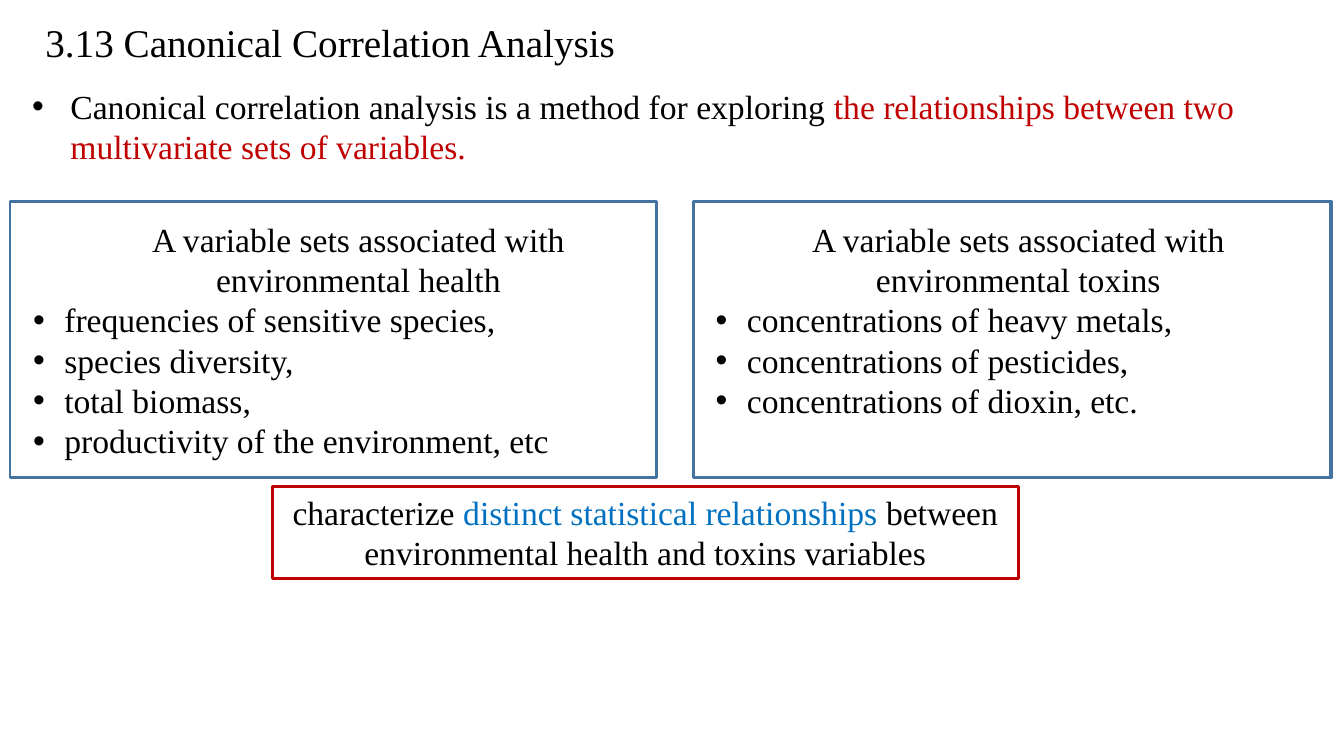
from lxml import etree
from pptx import Presentation
from pptx.dml.color import RGBColor
from pptx.enum.shapes import MSO_SHAPE as SHAPE
from pptx.enum.text import MSO_ANCHOR as ANCHOR, MSO_AUTO_SIZE as AUTO, PP_ALIGN as ALIGN
from pptx.oxml.ns import qn
from pptx.util import Inches, Pt

COLORS = {"text": "000000", "white": "FFFFFF", "red": "C00000",
          "blue": "0070C0", "frame": "43739E"}
FONT = "Times New Roman"


def write(p, parts, size=24, align=ALIGN.LEFT, indent=0):
    """Fill a paragraph with (text, colour) runs; an indent gives it a bullet."""
    p.alignment = align
    if indent:
        pPr = p._p.get_or_add_pPr()
        pPr.set("marL", str(Inches(indent)))
        pPr.set("indent", str(-Inches(indent)))
        etree.SubElement(pPr, qn("a:buFont")).set("typeface", "Arial")
        etree.SubElement(pPr, qn("a:buChar")).set("char", "•")
    for text, color in parts:
        r = p.add_run()
        r.text = text
        r.font.name = FONT
        r.font.size = Pt(size)
        r.font.color.rgb = RGBColor.from_string(COLORS[color])


def add_box(left, top, width, height, fill=None, line=None, line_width=2):
    """Add a flat rectangle with optional fill and outline."""
    sp = slide.shapes.add_shape(SHAPE.RECTANGLE, Inches(left), Inches(top),
                                Inches(width), Inches(height))
    sp.shadow.inherit = False
    if fill:
        sp.fill.solid()
        sp.fill.fore_color.rgb = RGBColor.from_string(COLORS[fill])
    else:
        sp.fill.background()
    if line:
        sp.line.color.rgb = RGBColor.from_string(COLORS[line])
        sp.line.width = Pt(line_width)
    else:
        sp.line.fill.background()
    sp.text_frame.word_wrap = True
    sp.text_frame.vertical_anchor = ANCHOR.TOP
    return sp


prs = Presentation()
prs.slide_width, prs.slide_height = Inches(13.33), Inches(7.5)
slide = prs.slides.add_slide(prs.slide_layouts[5])

# Title
title = slide.shapes.title
title.left, title.top = Inches(0.35), Inches(0.13)
title.width, title.height = Inches(5.91), Inches(0.57)
tf = title.text_frame
tf.word_wrap = False
tf.auto_size = AUTO.NONE
tf.vertical_anchor = ANCHOR.TOP
write(tf.paragraphs[0], [("3.13 Canonical Correlation Analysis", "text")], size=28)

# Definition
intro = slide.shapes.add_textbox(Inches(0.22), Inches(0.8), Inches(12.98), Inches(0.91))
intro.text_frame.word_wrap = True
write(intro.text_frame.paragraphs[0], [
    ("Canonical correlation analysis is a method for exploring ", "text"),
    ("the relationships between two multivariate sets of variables.", "red"),
], indent=0.38)

# Two framed variable sets: text left, width, height; frame left, width, line width
variable_sets = [
    (0.23, 6.65, 2.52, 0.1, 6.41, 2, "environmental health",
     ["frequencies of sensitive species,", "species diversity,",
      "total biomass,", "productivity of the environment, etc"]),
    (7, 6.2, 2.12, 6.88, 6.32, 2.5, "environmental toxins",
     ["concentrations of heavy metals,", "concentrations of pesticides,",
      "concentrations of dioxin, etc."]),
]
for left, width, height, frame_left, frame_width, line_width, topic, items in variable_sets:
    tf = add_box(left, 2.12, width, height, fill="white").text_frame
    write(tf.paragraphs[0], [("A variable sets associated with", "text")], align=ALIGN.CENTER)
    write(tf.add_paragraph(), [(topic, "text")], align=ALIGN.CENTER)
    for item in items:
        write(tf.add_paragraph(), [(item, "text")], indent=0.31)
    add_box(frame_left, 2, frame_width, 2.74, line="frame", line_width=line_width)

# Conclusion
conclusion = add_box(2.7, 4.83, 7.4, 0.91, line="red", line_width=2.25)
write(conclusion.text_frame.paragraphs[0], [
    ("characterize ", "text"),
    ("distinct statistical relationships ", "blue"),
    ("between environmental health and toxins variables", "text"),
], align=ALIGN.CENTER)

prs.save("out.pptx")
